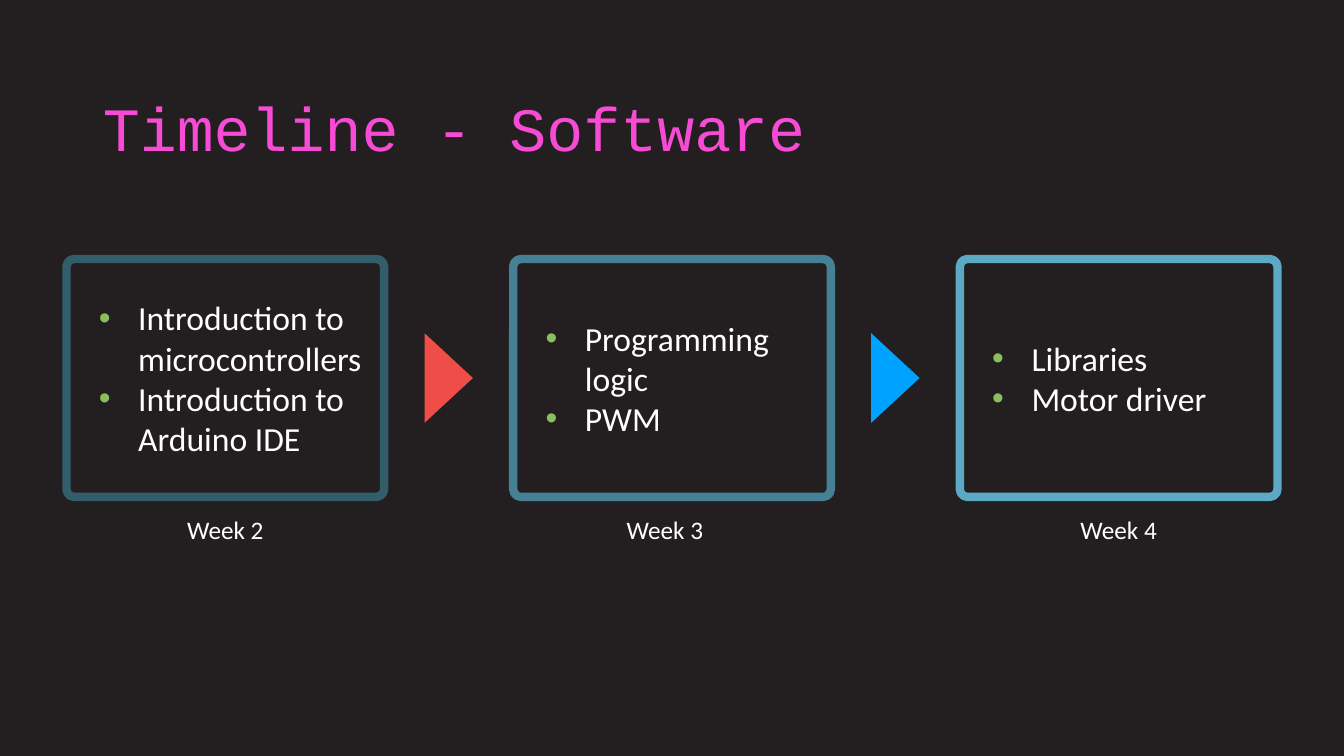
from lxml.etree import SubElement
from pptx import Presentation
from pptx.dml.color import RGBColor
from pptx.enum.shapes import MSO_SHAPE
from pptx.enum.text import MSO_ANCHOR, MSO_AUTO_SIZE, PP_ALIGN
from pptx.oxml.ns import qn
from pptx.util import Inches, Pt

BACKGROUND = RGBColor(0x23, 0x1F, 0x20)
PINK = RGBColor(0xF7, 0x4B, 0xD6)
WHITE = RGBColor(0xFF, 0xFF, 0xFF)
GREEN = RGBColor(0x8A, 0xBF, 0x5E)
DARK_TEAL = RGBColor(0x32, 0x5D, 0x6B)
TEAL = RGBColor(0x45, 0x80, 0x94)
LIGHT_TEAL = RGBColor(0x5B, 0xA9, 0xC3)
RED = RGBColor(0xEF, 0x4D, 0x47)
BLUE = RGBColor(0x00, 0xA2, 0xFF)

TITLE = "Timeline - Software"
# label, label shift in inches, outline colour, topics
WEEKS = [
    ("Week 2", 0, DARK_TEAL,
     ["Introduction to microcontrollers", "Introduction to Arduino IDE"]),
    ("Week 3", -0.07, TEAL, ["Programming logic", "PWM"]),
    ("Week 4", 0, LIGHT_TEAL, ["Libraries", "Motor driver"]),
]
ARROW_COLOURS = [RED, BLUE]

TITLE_FORMAT = {"name": "Courier New", "size": Pt(44)}
TOPIC_FORMAT = {"name": "Calibri", "size": Pt(24)}
LABEL_FORMAT = {"name": "Calibri", "size": Pt(18)}

LEFT, TOP, WIDTH, HEIGHT, STEP = 0.66, 2.57, 3.15, 2.36, 4.43
ARROW_WIDTH, ARROW_HEIGHT = 0.89, 0.48
LABEL_TOP, LABEL_HEIGHT = 5.05, 0.4


def inches(*lengths):
    return [Inches(length) for length in lengths]


def write(para, text, formats, colour):
    span = para.add_run()
    span.text = text
    for name, value in formats.items():
        setattr(span.font, name, value)
    span.font.color.rgb = colour


def add_bullet(para):
    props = para._p.get_or_add_pPr()
    props.set("marL", str(Inches(0.39)))
    props.set("marL", str(Inches(0.59) - Inches(0.2) + Inches(0.2)))
    props.set("indent", str(-Inches(0.39)))
    colour = SubElement(props, qn("a:buClr"))
    SubElement(colour, qn("a:srgbClr"), val=str(GREEN))
    SubElement(props, qn("a:buFont"), typeface="Arial")
    SubElement(props, qn("a:buChar"), char="•")


def add_week(page, left, label, shift, colour, topics):
    box = page.shapes.add_shape(MSO_SHAPE.ROUNDED_RECTANGLE,
                                *inches(left, TOP, WIDTH, HEIGHT))
    box.shadow.inherit = False
    box.adjustments[0] = 0.032
    box.fill.background()
    box.line.color.rgb = colour
    box.line.width = Pt(6)
    frame = box.text_frame
    frame.word_wrap = True
    frame.vertical_anchor = MSO_ANCHOR.MIDDLE
    for index, topic in enumerate(topics):
        para = frame.add_paragraph() if index else frame.paragraphs[0]
        para.alignment = PP_ALIGN.LEFT
        add_bullet(para)
        write(para, topic, TOPIC_FORMAT, WHITE)

    caption = page.shapes.add_textbox(
        *inches(left + shift, LABEL_TOP, WIDTH, LABEL_HEIGHT)).text_frame
    caption.word_wrap = True
    caption.auto_size = MSO_AUTO_SIZE.SHAPE_TO_FIT_TEXT
    caption.paragraphs[0].alignment = PP_ALIGN.CENTER
    write(caption.paragraphs[0], label, LABEL_FORMAT, WHITE)


def add_arrow(page, centre, colour):
    arrow = page.shapes.add_shape(
        MSO_SHAPE.ISOSCELES_TRIANGLE,
        *inches(centre - ARROW_WIDTH / 2, TOP + (HEIGHT - ARROW_HEIGHT) / 2,
                ARROW_WIDTH, ARROW_HEIGHT))
    arrow.rotation = 90
    arrow.shadow.inherit = False
    arrow.fill.solid()
    arrow.fill.fore_color.rgb = colour
    arrow.line.fill.background()


def main():
    deck = Presentation()
    deck.slide_width, deck.slide_height = inches(13.33, 7.5)
    page = deck.slides.add_slide(deck.slide_layouts[5])
    page.background.fill.solid()
    page.background.fill.fore_color.rgb = BACKGROUND

    title = page.shapes.title
    title.left, title.top, title.width, title.height = inches(0.92, 0.71, 11.5, 1.2)
    title.text_frame.vertical_anchor = MSO_ANCHOR.MIDDLE
    heading = title.text_frame.paragraphs[0]
    heading.alignment = PP_ALIGN.LEFT
    heading.line_spacing = 0.9
    write(heading, TITLE, TITLE_FORMAT, PINK)

    for index, week in enumerate(WEEKS):
        add_week(page, LEFT + index * STEP, *week)
    for index, colour in enumerate(ARROW_COLOURS):
        add_arrow(page, LEFT + index * STEP + (WIDTH + STEP) / 2, colour)

    deck.save("out.pptx")


if __name__ == "__main__":
    main()
